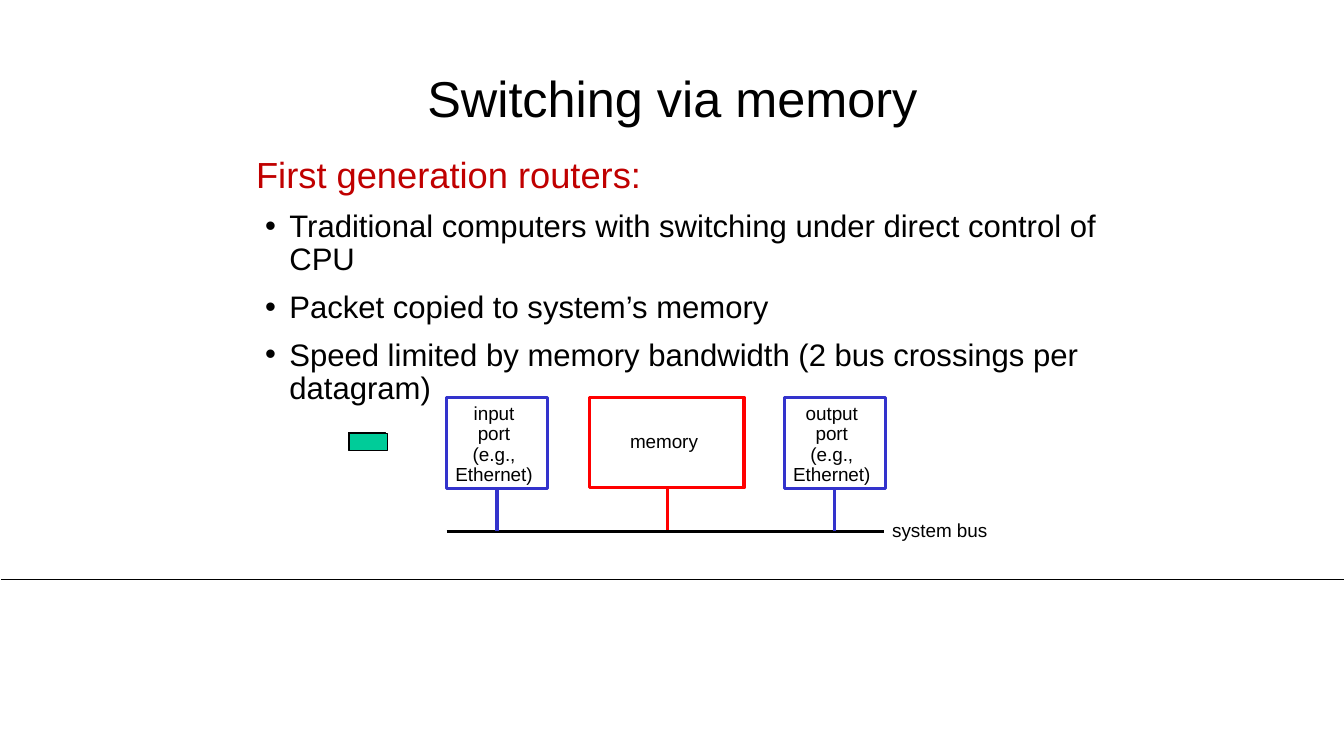
from pptx import Presentation
from pptx.dml.color import RGBColor
from pptx.enum.shapes import MSO_CONNECTOR, MSO_SHAPE
from pptx.enum.text import MSO_ANCHOR, MSO_AUTO_SIZE, PP_ALIGN
from pptx.oxml.xmlchemy import OxmlElement
from pptx.util import Inches, Pt

BLACK = RGBColor(0x00, 0x00, 0x00)
WHITE = RGBColor(0xFF, 0xFF, 0xFF)
CRIMSON = RGBColor(0xC0, 0x00, 0x00)
RED = RGBColor(0xFF, 0x00, 0x00)
BLUE = RGBColor(0x33, 0x33, 0xCC)
GREEN = RGBColor(0x00, 0xCC, 0x99)

POINTS = [
    "Traditional computers with switching under direct control of CPU",
    "Packet copied to system’s memory",
    "Speed limited by memory bandwidth (2 bus crossings per datagram)",
]


def place(shape, left, top, width, height):
    shape.left, shape.top = Inches(left), Inches(top)
    shape.width, shape.height = Inches(width), Inches(height)


def style(para, size, color=BLACK):
    for run in para.runs:
        run.font.name = "Arial"
        run.font.size = Pt(size)
        run.font.color.rgb = color


def indent(para, margin, hang, bullet=None):
    """Set a hanging indent, with a bullet character or none."""
    props = para._p.get_or_add_pPr()
    props.set("marL", str(Inches(margin)))
    props.set("indent", str(-Inches(hang)))
    if bullet:
        font = OxmlElement("a:buFont")
        font.set("typeface", "Arial")
        mark = OxmlElement("a:buChar")
        mark.set("char", bullet)
        props.extend([font, mark])
    else:
        props.append(OxmlElement("a:buNone"))


def add_rect(slide, left, top, width, height, fill, line, weight):
    rect = slide.shapes.add_shape(
        MSO_SHAPE.RECTANGLE, Inches(left), Inches(top), Inches(width), Inches(height))
    rect.shadow.inherit = False
    if fill is None:
        rect.fill.background()
    else:
        rect.fill.solid()
        rect.fill.fore_color.rgb = fill
    rect.line.color.rgb = line
    rect.line.width = Pt(weight)


def add_line(slide, x1, y1, x2, y2, color, weight=2.25):
    line = slide.shapes.add_connector(
        MSO_CONNECTOR.STRAIGHT, Inches(x1), Inches(y1), Inches(x2), Inches(y2))
    line.line.color.rgb = color
    line.line.width = Pt(weight)
    line._element.spPr.append(OxmlElement("a:effectLst"))


def add_label(slide, text, left, top, width, height, align=PP_ALIGN.CENTER, space=0.9):
    box = slide.shapes.add_textbox(
        Inches(left), Inches(top), Inches(width), Inches(height))
    frame = box.text_frame
    frame.text = text
    frame.word_wrap = False
    frame.auto_size = MSO_AUTO_SIZE.SHAPE_TO_FIT_TEXT
    for para in frame.paragraphs:
        para.alignment = align
        para.line_spacing = space
        style(para, 13.5)


def fill_title(title, left, top, width, height):
    place(title, left, top, width, height)
    frame = title.text_frame
    frame.text = "Switching via memory"
    frame.auto_size = MSO_AUTO_SIZE.NONE
    frame.vertical_anchor = MSO_ANCHOR.MIDDLE
    para = frame.paragraphs[0]
    para.alignment = PP_ALIGN.CENTER
    para.line_spacing = 0.9
    style(para, 36)


def fill_body(body, left, top, width, height):
    place(body, left, top, width, height)
    frame = body.text_frame
    frame.text = "\n".join(["First generation routers:"] + POINTS)
    frame.auto_size = MSO_AUTO_SIZE.NONE
    frame.vertical_anchor = MSO_ANCHOR.TOP
    head, *points = frame.paragraphs
    head.line_spacing = 0.9
    head.space_before = Pt(0)
    indent(head, 0.19, 0.19)
    style(head, 25.9, CRIMSON)
    for para in points:
        para.line_spacing = 0.9
        para.space_before = Pt(10)
        indent(para, 0.33, 0.24, "•")
        style(para, 22.2)


def add_port(slide, name, left, top):
    """Draw a port box with its link down to the bus."""
    add_rect(slide, left, top, 1, 0.91, WHITE, BLUE, 2.25)
    add_label(slide, f"{name}\nport\n(e.g.,\nEthernet)",
              left - 0.02, top + 0.02, 0.98, 0.92)
    add_line(slide, left + 0.5, top + 0.91, left + 0.5, top + 1.33, BLUE)


def add_memory(slide, left, top):
    add_label(slide, "memory", left + 0.29, top + 0.3, 0.89, 0.31)
    add_rect(slide, left, top, 1.53, 0.9, None, RED, 2.25)
    add_line(slide, left + 0.77, top + 0.9, left + 0.77, top + 1.32, RED)


def add_diagram(slide, left, top):
    add_line(slide, left, top + 1.33, left + 4.34, top + 1.33, BLACK)
    add_port(slide, "input", left, top)
    add_memory(slide, left + 1.42, top)
    add_port(slide, "output", left + 3.35, top)
    add_label(slide, "system bus", left + 4.32, top + 1.16, 1.16, 0.33,
              PP_ALIGN.LEFT, 1.0)


def add_packet(slide, left, top):
    add_rect(slide, left, top, 0.36, 0.18, GREEN, BLACK, 0.75)
    add_rect(slide, left + 0.01, top + 0.01, 0.37, 0.17, GREEN, BLACK, 0.75)


def main():
    deck = Presentation()
    deck.slide_width, deck.slide_height = Inches(13.33), Inches(7.5)
    slide = deck.slides.add_slide(deck.slide_layouts[1])
    add_line(slide, 0.01, 5.75, 13.33, 5.75, BLACK, 0.5)
    fill_title(slide.shapes.title, 0.92, 0.4, 11.5, 1.2)
    fill_body(slide.placeholders[1], 2.44, 1.51, 9.26, 2.27)
    add_diagram(slide, 4.43, 3.94)
    add_packet(slide, 3.46, 4.29)
    deck.save("out.pptx")


if __name__ == "__main__":
    main()
